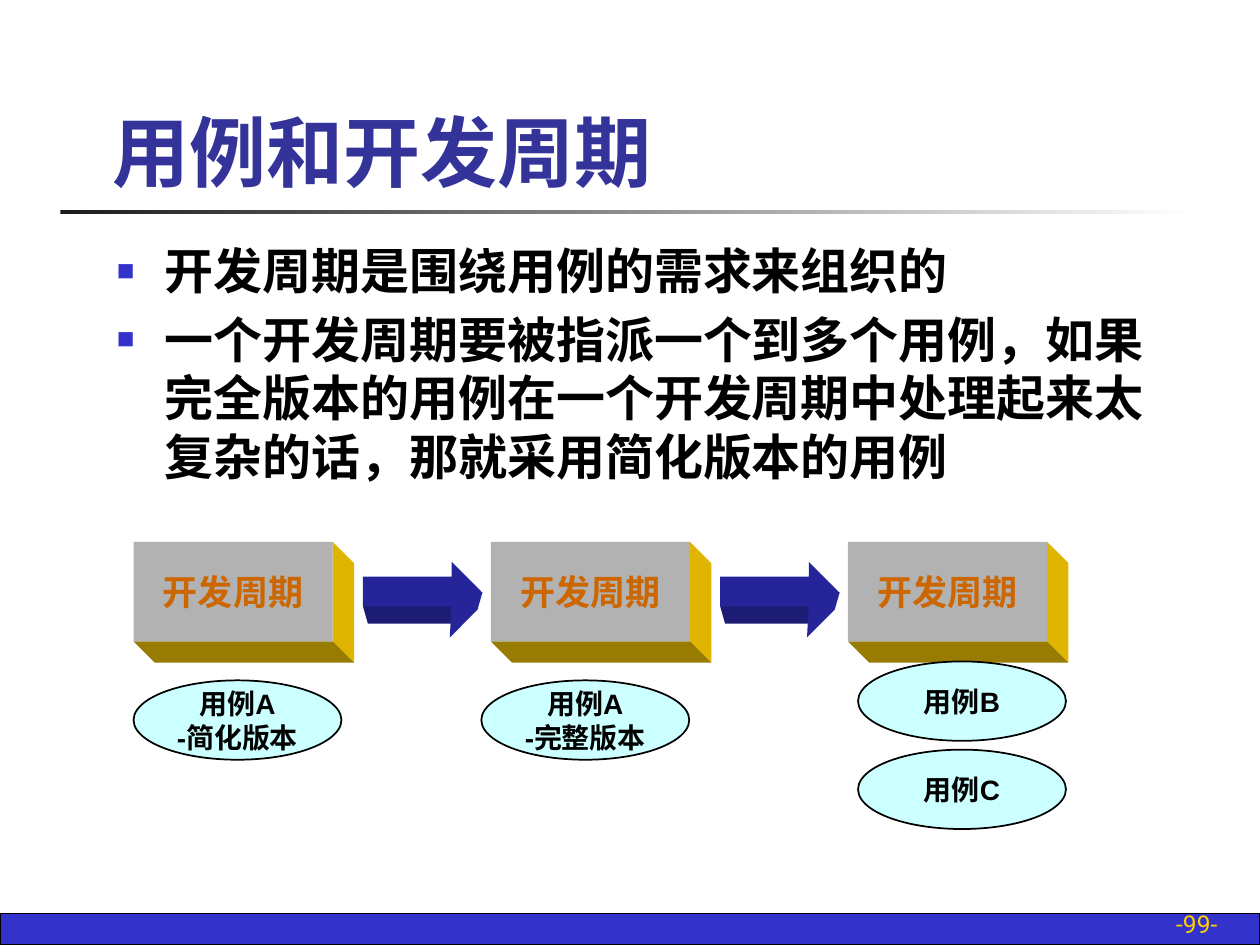
from lxml.etree import SubElement
from pptx import Presentation
from pptx.dml.color import RGBColor
from pptx.enum.shapes import MSO_SHAPE
from pptx.enum.text import MSO_ANCHOR, PP_ALIGN
from pptx.oxml.ns import qn
from pptx.util import Inches, Pt

BLUE = RGBColor(0x33, 0x33, 0xCC)
TITLE_BLUE = RGBColor(0x33, 0x33, 0x99)
BLACK = RGBColor(0, 0, 0)
WHITE = RGBColor(0xFF, 0xFF, 0xFF)
CHARCOAL = RGBColor(0x1C, 0x1C, 0x1C)
GOLD = RGBColor(0xFF, 0xCF, 0x01)
BOX_FRONT = RGBColor(0xB2, 0xB2, 0xB2)
BOX_RIGHT = RGBColor(0xDF, 0xB5, 0x01)
BOX_BOTTOM = RGBColor(0x98, 0x7B, 0x01)
BOX_TEXT = RGBColor(0xCC, 0x66, 0x00)
ARROW_FRONT = RGBColor(0x25, 0x25, 0x99)
ARROW_BOTTOM = RGBColor(0x1C, 0x1C, 0x74)
OVAL_FILL = RGBColor(0xCC, 0xFF, 0xFF)

BOX_WIDTH, BOX_HEIGHT, BOX_DEPTH = 1.58, 0.79, 0.17
BOX_LEFT, BOX_TOP, BOX_PITCH = 1.06, 4.3, 2.835
BULLETS = [
    "开发周期是围绕用例的需求来组织的",
    "一个开发周期要被指派一个到多个用例，如果完全版本的用例在一个开发周期中"
    "处理起来太复杂的话，那就采用简化版本的用例",
]
OVALS = [
    (1.06, 5.4, ["用例A", "-简化版本"]),
    (3.82, 5.4, ["用例A", "-完整版本"]),
    (6.81, 5.25, ["用例B"]),
    (6.81, 5.95, ["用例C"]),
]


def set_font(paragraph, name, size, color, bold=False):
    font = paragraph.font
    font.name, font.size, font.bold = name, Pt(size), bold
    font.color.rgb = color


def paint(shape, fill, line=None, line_width=1):
    shape.shadow.inherit = False
    shape.fill.solid()
    shape.fill.fore_color.rgb = fill
    if line is None:
        shape.line.fill.background()
    else:
        shape.line.color.rgb = line
        shape.line.width = Pt(line_width)


def add_preset(slide, kind, left, top, width, height, fill, line=None, line_width=1):
    shape = slide.shapes.add_shape(
        kind, Inches(left), Inches(top), Inches(width), Inches(height))
    paint(shape, fill, line, line_width)
    return shape


def add_polygon(slide, left, top, points, fill):
    """Draw a closed outline whose points are offsets from left, top."""
    corners = [(Inches(left + x), Inches(top + y)) for x, y in points]
    builder = slide.shapes.build_freeform(*corners[0])
    builder.add_line_segments(corners[1:])
    paint(builder.convert_to_shape(), fill)


def add_label(shape, lines, size, color):
    frame = shape.text_frame
    frame.word_wrap = False
    frame.vertical_anchor = MSO_ANCHOR.MIDDLE
    frame.text = "\n".join(lines)
    for paragraph in frame.paragraphs:
        paragraph.alignment = PP_ALIGN.CENTER
        set_font(paragraph, "Arial", size, color, bold=True)


def add_cycle_box(slide, left, top):
    width, height, depth = BOX_WIDTH, BOX_HEIGHT, BOX_DEPTH
    far_corner = (width + depth, height + depth)
    add_polygon(slide, left, top, [
        (width, 0), (width + depth, depth), far_corner, (width, height)], BOX_RIGHT)
    add_polygon(slide, left, top, [
        (0, height), (width, height), far_corner, (depth, height + depth)], BOX_BOTTOM)
    front = add_preset(slide, MSO_SHAPE.RECTANGLE, left, top, width, height, BOX_FRONT)
    add_label(front, ["开发周期"], 20, BOX_TEXT)


def add_cycle_arrow(slide, left, top):
    add_polygon(slide, left, top, [
        (0, 0.35), (0.71, 0.35), (0.7, 0.49), (0.04, 0.49)], ARROW_BOTTOM)
    add_polygon(slide, left, top, [
        (0.71, 0.24), (0.95, 0.24), (0.91, 0.38), (0.69, 0.6)], ARROW_FRONT)
    add_preset(slide, MSO_SHAPE.RIGHT_ARROW, left, top, 0.94, 0.47, ARROW_FRONT)


def add_bullet(paragraph):
    properties = paragraph._p.get_or_add_pPr()
    properties.set("marL", str(Inches(0.38)))
    properties.set("indent", str(-Inches(0.38)))
    color = SubElement(properties, qn("a:buClr"))
    SubElement(color, qn("a:srgbClr"), val=str(BLUE))
    SubElement(properties, qn("a:buSzPct"), val="60000")
    SubElement(properties, qn("a:buFont"), typeface="Arial")
    SubElement(properties, qn("a:buChar"), char="■")


def add_text_box(slide, left, top, width, height):
    box = slide.shapes.add_textbox(
        Inches(left), Inches(top), Inches(width), Inches(height))
    box.text_frame.word_wrap = True
    return box.text_frame


def add_body(slide):
    frame = add_text_box(slide, 0.83, 1.86, 8.5, 2.36)
    frame.text = "\n".join(BULLETS)
    for index, paragraph in enumerate(frame.paragraphs):
        add_bullet(paragraph)
        if index:
            paragraph.space_before = Pt(5.6)
        set_font(paragraph, "Roboto", 28, BLACK, bold=True)


def set_title(slide):
    title = slide.shapes.title
    title.left, title.top = Inches(0.79), Inches(0.36)
    title.width, title.height = Inches(8.52), Inches(1.25)
    title.text_frame.text = "用例和开发周期"
    title.text_frame.vertical_anchor = MSO_ANCHOR.BOTTOM
    paragraph = title.text_frame.paragraphs[0]
    paragraph.alignment = PP_ALIGN.LEFT
    set_font(paragraph, "Times New Roman", 44, TITLE_BLUE, bold=True)


def add_title_rule(slide):
    rule = add_preset(slide, MSO_SHAPE.RECTANGLE, 0.48, 1.67, 9, 0.03, CHARCOAL)
    rule.fill.gradient()
    rule.fill.gradient_angle = 0
    for stop, color, position in zip(rule.fill.gradient_stops, (CHARCOAL, WHITE), (0, 1)):
        stop.color.rgb = color
        stop.position = position


def add_footer(slide):
    add_preset(slide, MSO_SHAPE.RECTANGLE, 0, 7.25, 10, 0.25, BLUE, BLACK, 0.75)
    frame = add_text_box(slide, 7.68, 7.17, 2.08, 0.33)
    frame.vertical_anchor = MSO_ANCHOR.BOTTOM
    frame.text = "-99-"
    frame.paragraphs[0].alignment = PP_ALIGN.RIGHT
    set_font(frame.paragraphs[0], "Roboto", 14, GOLD)


def main():
    presentation = Presentation()
    presentation.slide_width, presentation.slide_height = Inches(10), Inches(7.5)
    slide = presentation.slides.add_slide(presentation.slide_layouts[5])
    add_footer(slide)
    add_title_rule(slide)
    set_title(slide)
    add_body(slide)
    for column in range(3):
        left = BOX_LEFT + column * BOX_PITCH
        add_cycle_box(slide, left, BOX_TOP)
        if column < 2:
            add_cycle_arrow(slide, left + 1.82, 4.46)
    for left, top, lines in OVALS:
        oval = add_preset(slide, MSO_SHAPE.OVAL, left, top, 1.65, 0.63, OVAL_FILL, BLACK)
        add_label(oval, lines, 16, BLACK)
    presentation.save("out.pptx")


if __name__ == "__main__":
    main()
